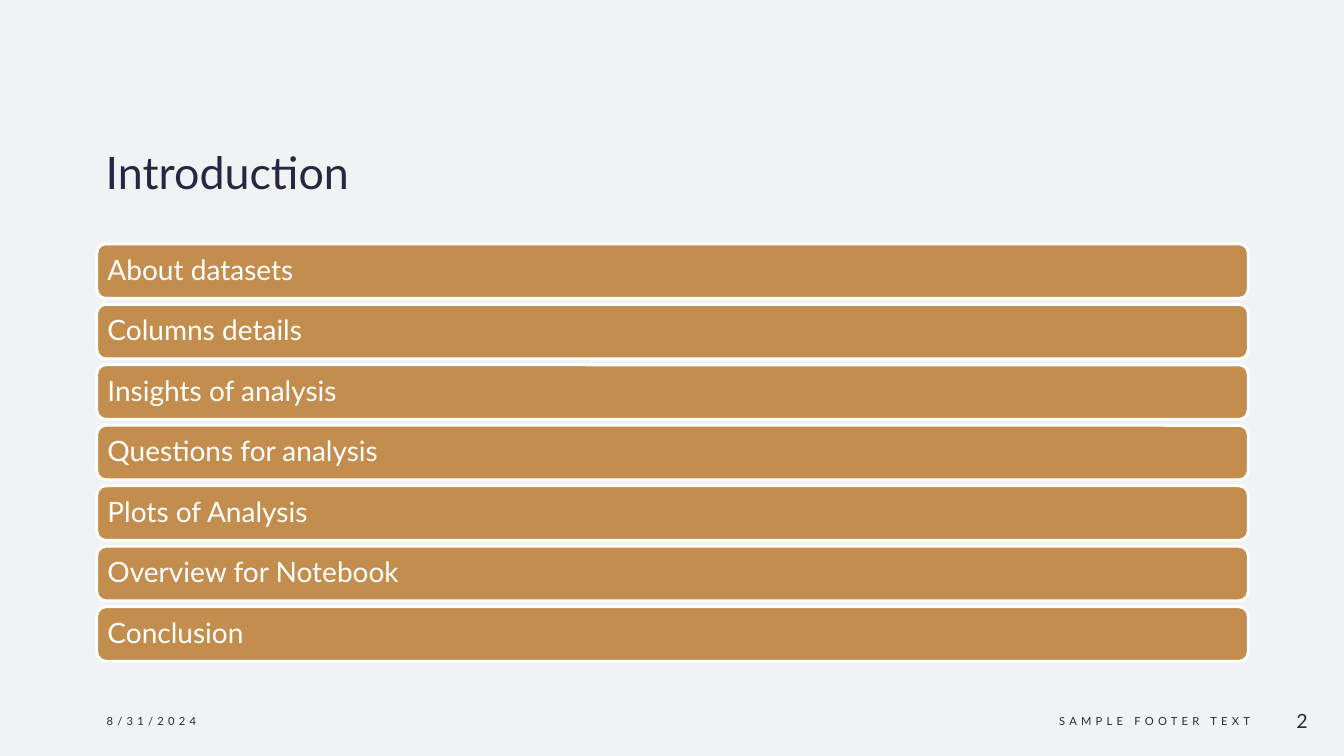
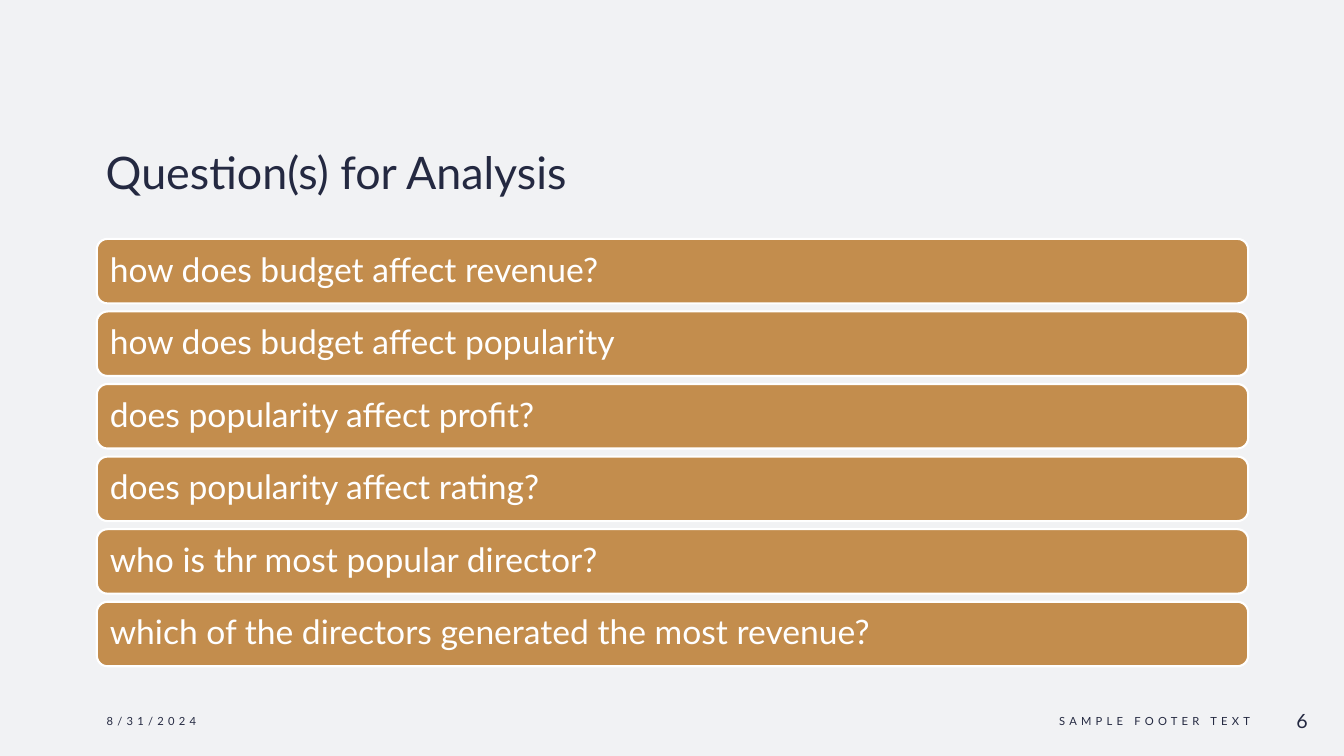
"""Build two slides, each with a title, a stack of rounded bars and a footer."""
from dataclasses import dataclass

from pptx import Presentation
from pptx.dml.color import RGBColor
from pptx.enum import shapes, text
from pptx.util import Inches, Pt


@dataclass(frozen=True)
class Theme:
    font: str = "Lato"
    backdrop: RGBColor = RGBColor(0xF1, 0xF2, 0xF4)
    ink: RGBColor = RGBColor(0x24, 0x29, 0x41)
    bar: RGBColor = RGBColor(0xC3, 0x8D, 0x4D)
    white: RGBColor = RGBColor(0xFF, 0xFF, 0xFF)
    title_size: int = 32
    footer_size: int = 8
    number_size: int = 14


theme = Theme()
LEFT, RIGHT = text.PP_ALIGN.LEFT, text.PP_ALIGN.RIGHT
MIDDLE, BOTTOM = text.MSO_ANCHOR.MIDDLE, text.MSO_ANCHOR.BOTTOM


def write(shape, words, size, color=theme.ink, align=LEFT, anchor=MIDDLE, tracking=0):
    frame = shape.text_frame
    frame.word_wrap = True
    frame.vertical_anchor = anchor
    paragraph = frame.paragraphs[0]
    paragraph.alignment = align
    run = paragraph.add_run()
    run.text = words
    run.font.name = theme.font
    run.font.size = Pt(size)
    run.font.color.rgb = color
    if tracking:
        run._r.get_or_add_rPr().set("spc", str(tracking * 100))
    return frame


agenda = dict(
    title="Introduction", number="2", top=2.42, height=0.54, pitch=0.6,
    size=20, inset=0.08, outline=2,
    items=["About datasets", "Columns details", "Insights of analysis",
           "Questions for analysis", "Plots of Analysis",
           "Overview for Notebook", "Conclusion"],
)
questions = dict(
    title="Question(s) for Analysis", number="6", top=2.37, height=0.64, pitch=0.72,
    size=24, inset=0.1, outline=1.5,
    items=["how does budget affect revenue?", "how does budget affect popularity",
           "does popularity affect profit?", "does popularity affect rating?",
           "who is thr most popular director?",
           "which of the directors generated the most revenue?"],
)

prs = Presentation()
prs.slide_width, prs.slide_height = Inches(13.33), Inches(7.5)
backdrop = prs.slide_master.background.fill
backdrop.solid()
backdrop.fore_color.rgb = theme.backdrop
footer_top, footer_height = Inches(6.95), Inches(0.4)

for content in (agenda, questions):
    slide = prs.slides.add_slide(prs.slide_layouts[6])

    title = slide.shapes.add_textbox(Inches(0.95), Inches(0.64), Inches(11.43), Inches(1.38))
    write(title, content["title"], theme.title_size, anchor=BOTTOM)

    for left, width, words, size, align, tracking in (
        (0.96, 3, "8/31/2024", theme.footer_size, LEFT, 3),
        (7.8, 4.7, "SAMPLE FOOTER TEXT", theme.footer_size, RIGHT, 3),
        (12.5, 0.57, content["number"], theme.number_size, RIGHT, 0),
    ):
        footer = slide.shapes.add_textbox(Inches(left), footer_top, Inches(width), footer_height)
        write(footer, words, size, align=align, tracking=tracking)

    for row, item in enumerate(content["items"]):
        bar = slide.shapes.add_shape(
            shapes.MSO_SHAPE.ROUNDED_RECTANGLE,
            Inches(0.96), Inches(content["top"] + row * content["pitch"]),
            Inches(11.42), Inches(content["height"]),
        )
        bar.shadow.inherit = False
        bar.fill.solid()
        bar.fill.fore_color.rgb = theme.bar
        bar.line.color.rgb = theme.white
        bar.line.width = Pt(content["outline"])
        frame = write(bar, item, content["size"], theme.white)
        frame.paragraphs[0].line_spacing = 0.9
        inset = Inches(content["inset"])
        frame.margin_left = frame.margin_right = inset
        frame.margin_top = frame.margin_bottom = inset

prs.save("out.pptx")
